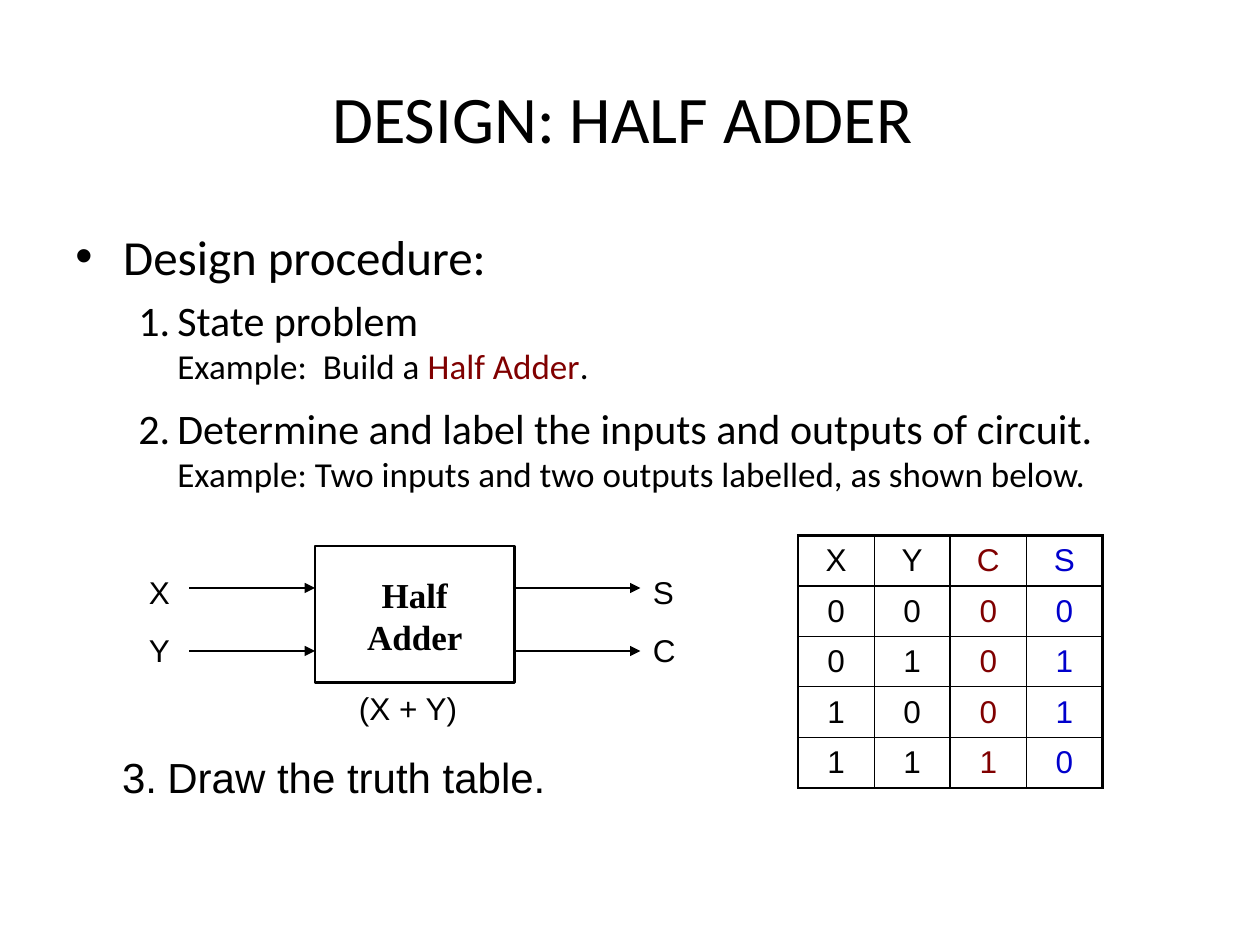
import pptx
import pptx.util
import pptx.dml.color
import pptx.enum.shapes
import pptx.enum.text
import pptx.oxml
import pptx.oxml.ns

Pt = pptx.util.Pt
Align = pptx.enum.text.PP_ALIGN
Mid = pptx.enum.text.MSO_ANCHOR.MIDDLE
UNIT = pptx.util.Inches(1) // 12
WIDE, HIGH = 120, 90
HUE = {"ink": "000000", "carry": "800000", "sum": "0000CC"}
EDGE, RULE, THIN = 1.5, 1.1, 0.45


def grid(*vals):
    return [round(v * UNIT) for v in vals]


def tint(name):
    return pptx.dml.color.RGBColor.from_string(HUE[name])


def add_xml(node, tag, inner="", **attrs):
    text = "".join(f' {key}="{val}"' for key, val in attrs.items())
    space = pptx.oxml.ns.nsdecls("a")
    node.append(pptx.oxml.parse_xml(f"<a:{tag} {space}{text}>{inner}</a:{tag}>"))


def write(frame, lines, font="Calibri", size=18, hue="ink", bold=False,
          align=Align.LEFT, gap=0, level=0, left=0, hang=0, bullet=None):
    frame.word_wrap = True
    for line in lines:
        fresh = not frame.paragraphs[0].runs
        para = frame.paragraphs[0] if fresh else frame.add_paragraph()
        para.alignment, para.level = align, level
        para.space_before = Pt(0 if fresh else gap)
        props = para._p.get_or_add_pPr()
        if left:
            props.set("marL", str(pptx.util.Inches(left)))
            props.set("indent", str(-pptx.util.Inches(hang)))
        if bullet:
            add_xml(props, "buFont", typeface="Arial")
            add_xml(props, "buChar", char=bullet)
        for part in [(line,)] if isinstance(line, str) else line:
            if part is None:
                para.add_line_break()
                continue
            words, points, shade = (*part, size, hue)[:3] if len(part) == 1 else part
            run = para.add_run()
            run.text = words
            run.font.name, run.font.size, run.font.bold = font, Pt(points), bold
            run.font.color.rgb = tint(shade)


def label(shapes, box, lines, **form):
    frame = shapes.add_textbox(*grid(*box)).text_frame
    write(frame, lines, **form)
    return frame


def head(slide, box):
    title = slide.shapes.title
    title.left, title.top, title.width, title.height = grid(*box)
    title.text_frame.vertical_anchor = Mid
    write(title.text_frame, ["DESIGN: HALF ADDER "], size=38, align=Align.CENTER)


def steps(slide, box):
    frame = label(slide.shapes, box, ["Design procedure:"], size=28,
                  left=0.38, hang=0.38, bullet="•")
    first = [("1.\tState problem",), None, ("Example:  Build a ", 20, "ink"),
             ("Half Adder", 20, "carry"), (".", 20, "ink")]
    second = [("2.\tDetermine and label the inputs and outputs of circuit.",), None,
              ("Example: Two inputs and two outputs labelled, as shown below.", 20, "ink")]
    for line, gap in ((first, 5), (second, 8.8)):
        write(frame, [line], size=24, gap=gap, level=1, left=0.81, hang=0.31)


def arrow(shapes, x, y, length):
    line = shapes.add_connector(pptx.enum.shapes.MSO_CONNECTOR.STRAIGHT,
                                *grid(x, y, x + length, y))
    line.line.color.rgb = tint("ink")
    line.line.width = Pt(1.25)
    add_xml(line.line._get_or_add_ln(), "tailEnd", type="triangle")
    add_xml(line._element.spPr, "effectLst")


def adder(slide, box):
    x, y, w, h = box
    side, reach, deep = 5, 12, 13
    shapes = slide.shapes.add_group_shape().shapes
    left = x + side + reach
    wide = w - 2 * (side + reach)
    block = shapes.add_shape(pptx.enum.shapes.MSO_SHAPE.RECTANGLE,
                             *grid(left, y, wide, deep))
    block.shadow.inherit = False
    block.fill.background()
    block.line.color.rgb = tint("ink")
    block.line.width = Pt(1.5)
    label(shapes, (left + 2, y + 2, wide - 4, 9.2), ["Half", "Adder"],
          font="Times New Roman", size=20, bold=True, align=Align.CENTER)
    for start in (x + side, left + wide):
        for drop in (4, 10):
            arrow(shapes, start, y + drop, reach)
    for start, names in ((x, "XY"), (x + w - side, "SC")):
        label(shapes, (start, y + 2, side, 10.3), list(names), font="Arial", gap=11.2)
    label(shapes, (left + 3, y + deep, 12, h - deep), ["(X + Y)"], font="Arial")


def truth(slide, box):
    rows = ["XYCS"] + [f"{a}{b}{a & b}{a ^ b}" for a in (0, 1) for b in (0, 1)]
    hues = ("ink", "ink", "carry", "sum")
    tall, wide = len(rows), len(hues)
    table = slide.shapes.add_table(tall, wide, *grid(*box)).table
    table.first_row = table.horz_banding = False
    across = [EDGE, THIN, RULE, THIN, EDGE]
    down = [EDGE, RULE] + [THIN] * (tall - 2) + [EDGE]
    for col in table.columns:
        col.width = round(box[2] * UNIT / wide)
    for r, row in enumerate(rows):
        table.rows[r].height = round(box[3] * UNIT / tall)
        for c, mark in enumerate(row):
            cell = table.cell(r, c)
            cell.vertical_anchor = Mid
            write(cell.text_frame, [mark], font="Arial", hue=hues[c], align=Align.CENTER)
            sides = {"L": across[c], "R": across[c + 1], "T": down[r], "B": down[r + 1]}
            fill = f'<a:solidFill><a:srgbClr val="{HUE["ink"]}"/></a:solidFill>'
            for side, width in sides.items():
                add_xml(cell._tc.get_or_add_tcPr(), "ln" + side, fill, w=int(Pt(width)))
            cell.fill.background()


def last(slide, box):
    label(slide.shapes, box, ["3.\tDraw the truth table."], font="Arial", size=24,
          level=1, left=0.73, hang=0.36)


def main():
    deck = pptx.Presentation()
    deck.slide_width, deck.slide_height = grid(WIDE, HIGH)
    slide = deck.slides.add_slide(deck.slide_layouts.get_by_name("Title Only"))
    head(slide, (6, 3.6, 108, 15))
    steps(slide, (6, 21, 108, 30))
    truth(slide, (76, 51, 29, 24))
    adder(slide, (13, 52, 53, 17.8))
    last(slide, (6, 71, 106, 7))
    deck.save("out.pptx")


if __name__ == "__main__":
    main()
